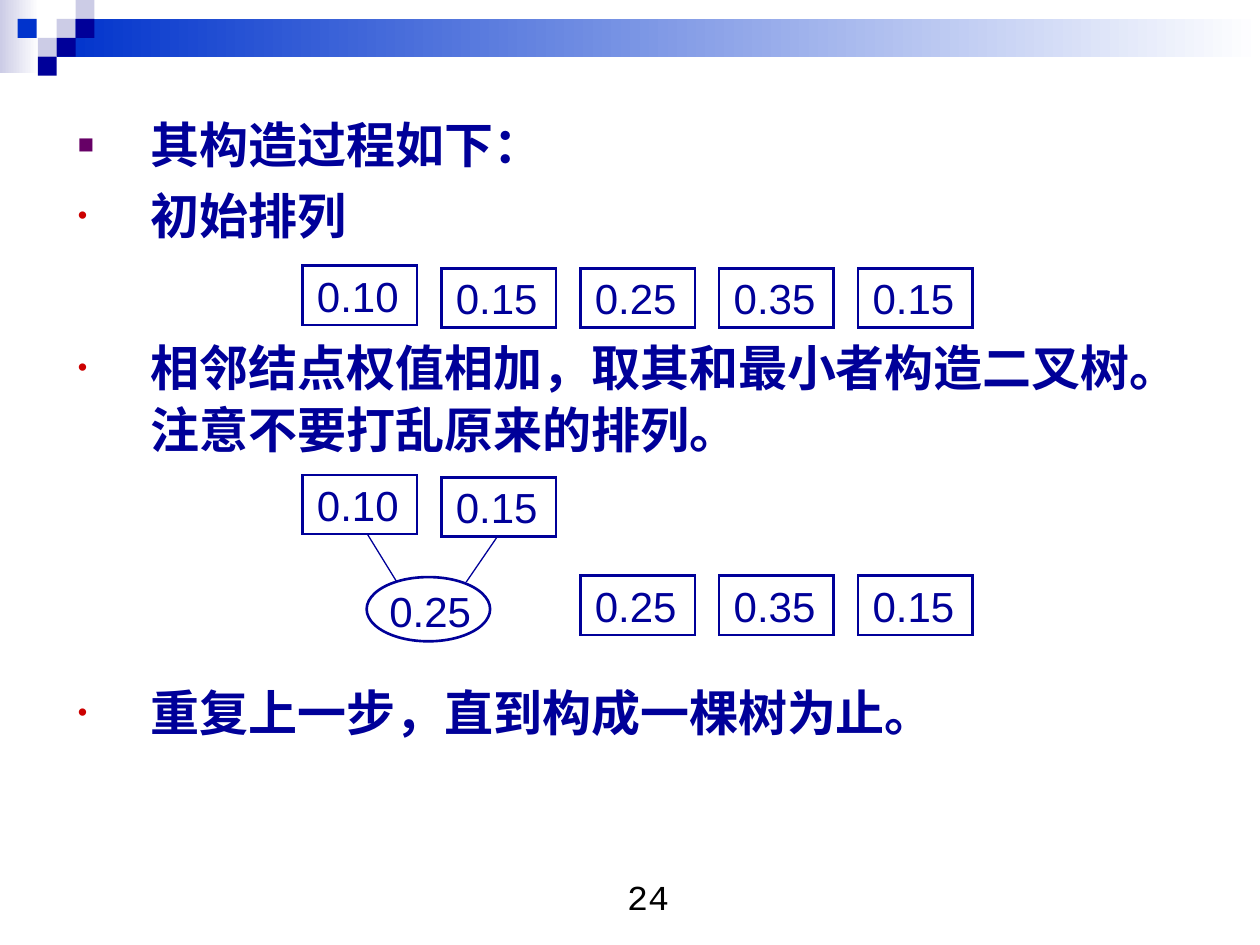
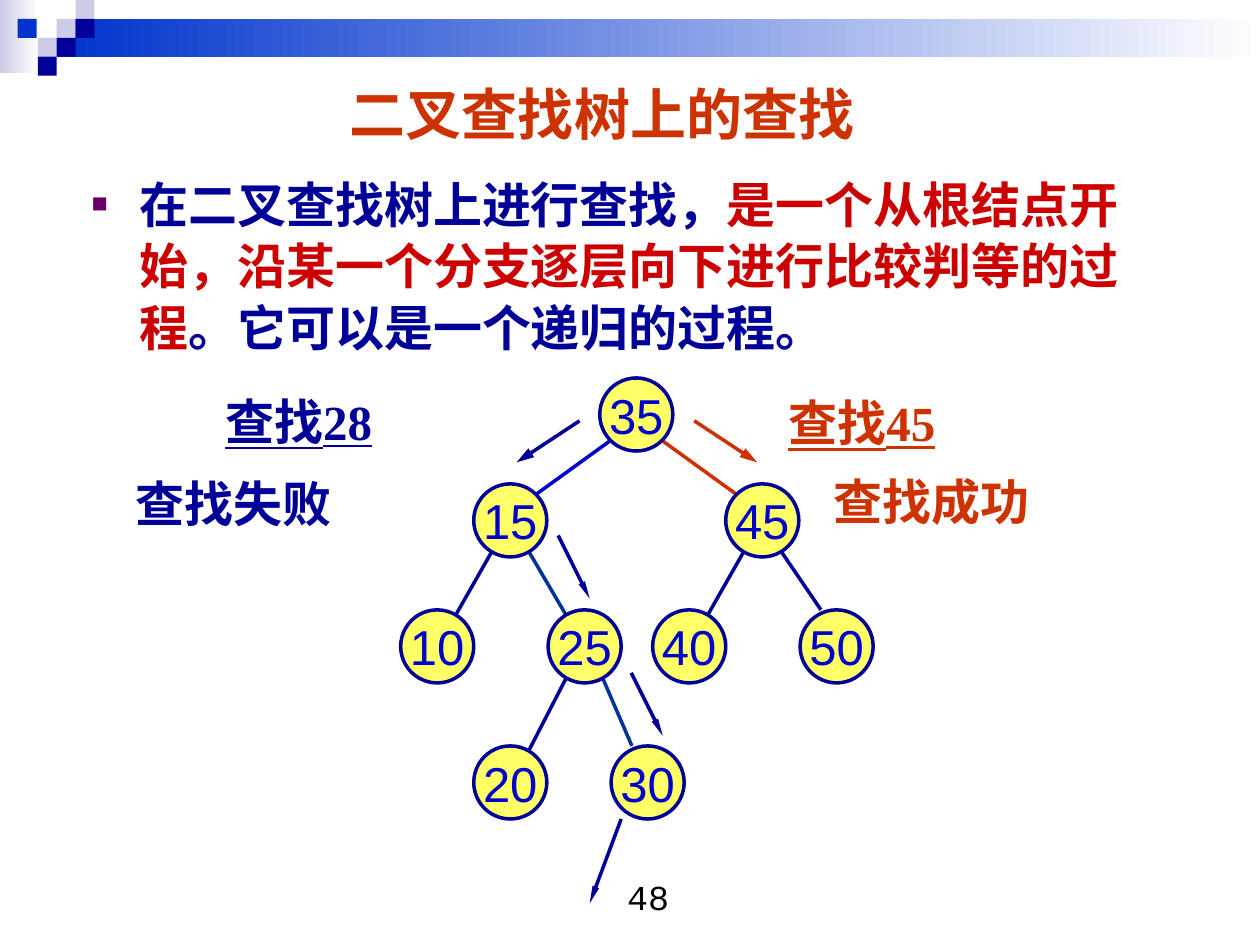
from dataclasses import dataclass

from lxml import etree
from pptx import Presentation
from pptx.dml.color import RGBColor
from pptx.enum.shapes import MSO_CONNECTOR, MSO_SHAPE
from pptx.enum.text import MSO_ANCHOR, PP_ALIGN
from pptx.oxml.ns import qn
from pptx.util import Inches, Pt

RECT, OVAL = MSO_SHAPE.RECTANGLE, MSO_SHAPE.OVAL
STRAIGHT = MSO_CONNECTOR.STRAIGHT
LEFT, CENTER = PP_ALIGN.LEFT, PP_ALIGN.CENTER
TOP, MIDDLE = MSO_ANCHOR.TOP, MSO_ANCHOR.MIDDLE


@dataclass(frozen=True)
class Theme:
    navy: str = "000099"
    blue: str = "0033CC"
    pale: str = "CCCCE6"
    white: str = "FFFFFF"
    black: str = "000000"
    red: str = "CC0000"
    rust: str = "CC3300"
    purple: str = "660066"
    teal: str = "003399"
    ink: str = "0000CC"
    yellow: str = "FFFF66"
    sans: str = "Arial"
    serif: str = "Times New Roman"
    mono: str = "Courier New"
    title: int = 32
    body: int = 28
    weight: int = 24
    page: int = 20


T = Theme()

BODY = dict(name=T.sans, size=T.body, color=T.navy, bold=True)
TITLE = dict(name=T.serif, size=T.title, color=T.rust, bold=True)
PAGE = dict(name=T.mono, size=T.page, color=T.black)
WEIGHT = dict(name=T.sans, size=T.weight, color=T.navy)
NODE = dict(name=T.sans, size=T.body, color=T.ink)
SQUARE, DOT = ("■", T.purple), ("•", T.red)

# Shared header: gradient bands, then small squares
BANDS = [((0, 0, 0.31, 0.58), T.pale), ((0.45, 0.15, 9.55, 0.3), T.blue)]
SQUARES = [
    (0.45, 0.15, T.pale), (0.6, 0, T.pale), (0.6, 0.15, T.navy), (0.3, 0.3, T.pale),
    (0.14, 0.15, T.blue), (0.45, 0.3, T.navy), (0.3, 0.45, T.navy),
]

# Slide 24: bullet, space before, text
STEPS = [
    (SQUARE, 0, "其构造过程如下："),
    (DOT, 5.2, "初始排列"),
    (DOT, 51.5, "相邻结点权值相加，取其和最小者构造二叉树。注意不要打乱原来的排列。"),
    (DOT, 126.5, "重复上一步，直到构成一棵树为止。"),
]
WEIGHTS = ["0.10", "0.15", "0.25", "0.35", "0.15"]
INITIAL_TOPS = [2.11, 2.13, 2.13, 2.13, 2.13]
MERGED_TOPS = [3.77, 3.79, 4.57, 4.57, 4.57]
WEIGHT_LEFT, WEIGHT_STEP, WEIGHT_SIZE = 2.4, 1.1025, (0.91, 0.47)
SUM = ("0.25", (2.91, 4.58, 0.98, 0.51))
SUM_LINES = [((2.91, 4.23), (3.15, 4.62)), ((3.94, 4.27), (3.7, 4.62))]

# Slide 48
SEARCH_TITLE = "二叉查找树上的查找"
SEARCH_TEXT = [
    ("在二叉查找树上进行查找，", T.navy),
    ("是一个从根结点开始，沿某一个分支逐层向下进行比较判等的过程", T.red),
    ("。它可以是一个递归的过程。", T.navy),
]
# Box, colour, then (text, indent, space before, underline)
SEARCHES = [
    ((6.16, 3.07, 2.53, 1.2), T.rust,
     [("查找45", 0, 0, True), ("查找成功", 0.36, 11.5, False)]),
    ((0.98, 3.06, 3.01, 1.21), T.navy,
     [("查找28", 0.71, 0, True), ("查找失败", 0, 13, False)]),
]
NODE_SIZE = 0.58
NODES = {  # key: centre
    35: (5.05, 3.29), 15: (4.05, 4.13), 45: (6.05, 4.13),
    10: (3.47, 5.13), 25: (4.64, 5.13), 40: (5.47, 5.13), 50: (6.64, 5.13),
    20: (4.05, 6.21), 30: (5.14, 6.21),
}
STEEP, DIAGONAL = 0.125, 0.21  # horizontal offset of an edge end from its centre
NEAR, RIM = 0.21, 0.29  # height above the child's centre where an edge ends
EDGES = [
    (35, 15, T.ink, DIAGONAL, NEAR), (35, 45, T.rust, DIAGONAL, NEAR),
    (15, 10, T.navy, STEEP, NEAR), (15, 25, T.teal, STEEP, NEAR),
    (45, 40, T.navy, STEEP, NEAR), (45, 50, T.navy, STEEP, RIM),
    (25, 20, T.navy, STEEP, NEAR), (25, 30, T.teal, STEEP, RIM),
]
# Start, end, colour, width of the head
ARROWS = [
    ((5.51, 3.34), (6.01, 3.67), T.rust, "med"),
    ((4.6, 3.34), (4.1, 3.67), T.navy, "med"),
    ((4.43, 4.25), (4.68, 4.75), T.navy, "sm"),
    ((5.01, 5.34), (5.26, 5.84), T.navy, "sm"),
    ((4.93, 6.5), (4.68, 7.17), T.navy, "sm"),
]


def rgb(value):
    return RGBColor.from_string(value)


def add_run(p, text, fmt):
    r = p.add_run()
    r.text = text
    for key, value in fmt.items():
        if key == "color":
            r.font.color.rgb = rgb(value)
        else:
            setattr(r.font, key, Pt(value) if key == "size" else value)


def add_box(s, at):
    tf = s.shapes.add_textbox(*map(Inches, at)).text_frame
    tf.word_wrap = True
    return tf


def add_line_of_text(s, at, text, fmt, anchor=TOP):
    tf = add_box(s, at)
    tf.vertical_anchor = anchor
    p = tf.paragraphs[0]
    p.alignment = CENTER
    add_run(p, text, fmt)


def paragraphs(tf, count):
    return [tf.paragraphs[0]] + [tf.add_paragraph() for _ in range(count - 1)]


def set_bullet(p, bullet, indent):
    char, color = bullet
    pPr = p._p.get_or_add_pPr()
    pPr.set("marL", str(Inches(indent)))
    pPr.set("indent", str(-Inches(indent)))
    clr = etree.SubElement(pPr, qn("a:buClr"))
    etree.SubElement(clr, qn("a:srgbClr"), val=color)
    etree.SubElement(pPr, qn("a:buSzPct"), val="55000")
    etree.SubElement(pPr, qn("a:buFont"), typeface=T.sans)
    etree.SubElement(pPr, qn("a:buChar"), char=char)
    p.line_spacing = 1.05


def add_shape(s, kind, at, fill, line=None, width=1.5, text=None, fmt=None, insets=(0, 0, 0)):
    """Add a preset shape; insets are the left, top and right text margins."""
    sp = s.shapes.add_shape(kind, *map(Inches, at))
    sp.shadow.inherit = False
    sp.fill.solid()
    sp.fill.fore_color.rgb = rgb(fill)
    if line:
        sp.line.color.rgb = rgb(line)
        sp.line.width = Pt(width)
        etree.SubElement(sp.line._get_or_add_ln(), qn("a:miter"), lim="800000")
    else:
        sp.line.fill.background()
    if text:
        tf = sp.text_frame
        tf.margin_left, tf.margin_top, tf.margin_right = map(Inches, insets)
        tf.margin_bottom = 0
        tf.word_wrap = False
        tf.vertical_anchor = MIDDLE
        p = tf.paragraphs[0]
        p.alignment = CENTER
        add_run(p, text, fmt)
    return sp


def add_line(s, start, end, color, width, head=None):
    cx = s.shapes.add_connector(STRAIGHT, *map(Inches, (*start, *end)))
    cx.line.color.rgb = rgb(color)
    cx.line.width = Pt(width)
    if head:
        ln = cx.line._get_or_add_ln()
        etree.SubElement(ln, qn("a:tailEnd"), type="triangle", w=head, len="lg")
    etree.SubElement(cx._element.spPr, qn("a:effectLst"))


def new_slide(prs, number):
    """Add a blank slide with the shared header and page number."""
    s = prs.slides.add_slide(prs.slide_layouts[6])
    for at, color in BANDS:
        fill = add_shape(s, RECT, at, color).fill
        fill.gradient()
        fill.gradient_angle = 0
        for stop, stop_color in zip(fill.gradient_stops, (color, T.white)):
            stop.color.rgb = rgb(stop_color)
    for x, y, color in SQUARES:
        add_shape(s, RECT, (x, y, 0.15, 0.15), color)
    add_line_of_text(s, (3.98, 6.9, 2.33, 0.52), str(number), PAGE)
    return s


def add_weights(s, tops):
    for i, (weight, top) in enumerate(zip(WEIGHTS, tops)):
        at = (WEIGHT_LEFT + i * WEIGHT_STEP, top, *WEIGHT_SIZE)
        add_shape(s, RECT, at, T.white, T.navy, text=weight, fmt=WEIGHT, insets=(0, 0, 0.03))


def build_construction(prs):
    s = new_slide(prs, 24)
    tf = add_box(s, (0.52, 0.84, 9, 5.87))
    for p, (bullet, space, text) in zip(paragraphs(tf, len(STEPS)), STEPS):
        set_bullet(p, bullet, 0.58)
        p.space_before = Pt(space)
        add_run(p, text, BODY)
    add_weights(s, INITIAL_TOPS)
    for start, end in SUM_LINES:
        add_line(s, start, end, T.navy, 0.75)
    add_weights(s, MERGED_TOPS)
    text, at = SUM
    add_shape(s, OVAL, at, T.white, T.navy, text=text, fmt=WEIGHT, insets=(0.03, 0.03, 0))


def add_tree(s):
    for parent, child, color, run, rise in EDGES:
        (px, py), (cx, cy) = NODES[parent], NODES[child]
        dx = run if cx > px else -run
        add_line(s, (px + dx, py + NEAR), (cx - dx, cy - rise), color, 2)
    for key, (x, y) in NODES.items():
        at = (x - NODE_SIZE / 2, y - NODE_SIZE / 2, NODE_SIZE, NODE_SIZE)
        add_shape(s, OVAL, at, T.yellow, T.navy, 2, str(key), NODE)
    for start, end, color, head in ARROWS:
        add_line(s, start, end, color, 2, head)


def build_search(prs):
    s = new_slide(prs, 48)
    add_line_of_text(s, (2.32, 0.56, 4.92, 0.67), SEARCH_TITLE, TITLE, MIDDLE)
    p = add_box(s, (0.63, 1.31, 8.5, 1.65)).paragraphs[0]
    set_bullet(p, SQUARE, 0.38)
    for text, color in SEARCH_TEXT:
        add_run(p, text, {**BODY, "color": color})
    for at, color, lines in SEARCHES:
        tf = add_box(s, at)
        for p, (text, indent, space, underline) in zip(paragraphs(tf, len(lines)), lines):
            p.alignment = LEFT
            p._p.get_or_add_pPr().set("marL", str(Inches(indent)))
            p.space_before = Pt(space)
            add_run(p, text, {**BODY, "name": T.serif, "color": color, "underline": underline})
    add_tree(s)


def main():
    prs = Presentation()
    prs.slide_width, prs.slide_height = Inches(10), Inches(7.5)
    build_construction(prs)
    build_search(prs)
    prs.save("out.pptx")


if __name__ == "__main__":
    main()
